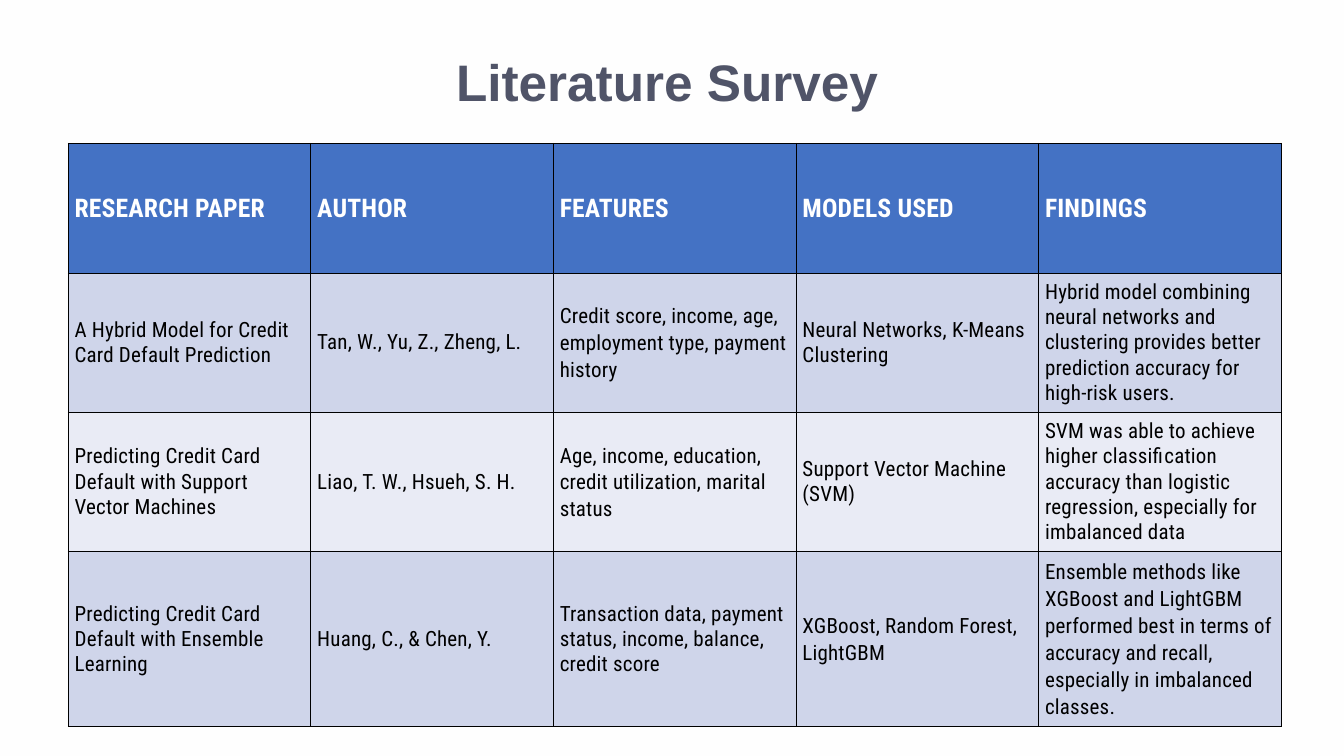
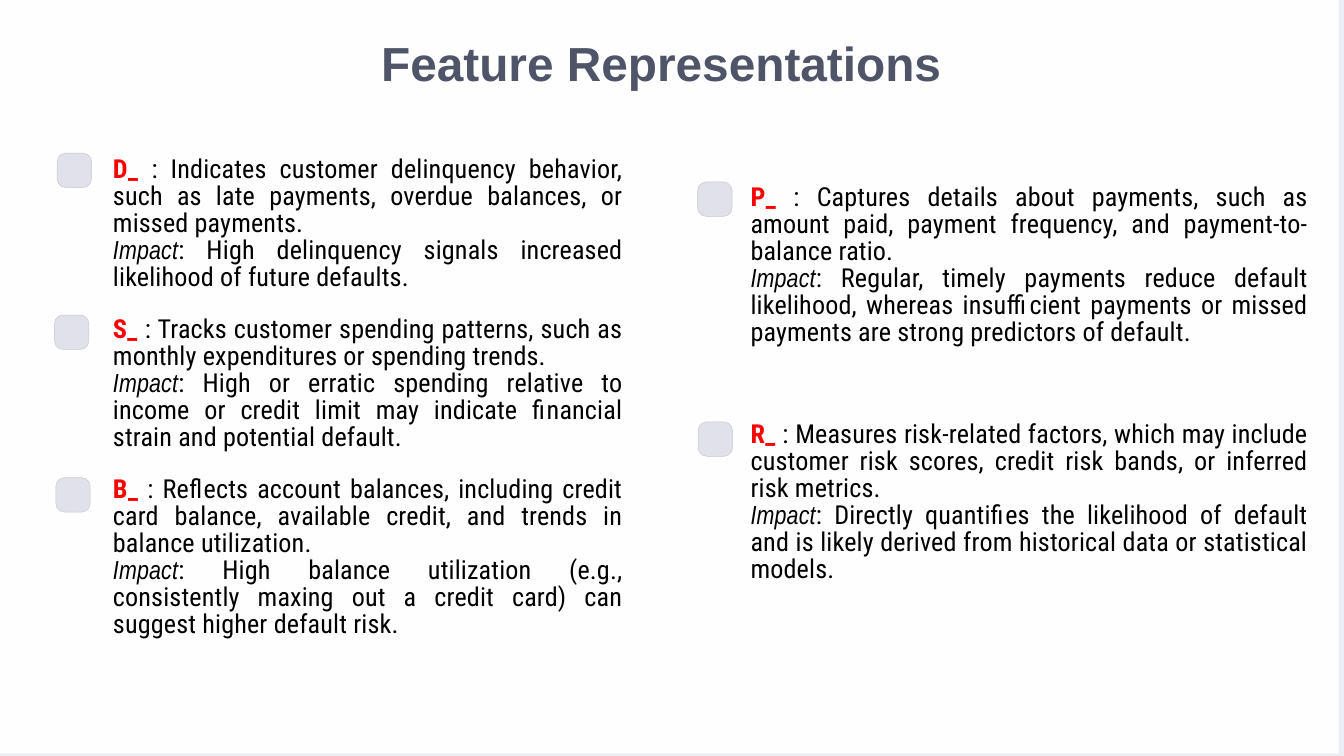
"""Builds two slides: a literature survey table and the feature representations."""
import pptx
import pptx.dml.color
import pptx.enum.shapes
import pptx.enum.text
import pptx.oxml
import pptx.oxml.ns
import pptx.util
from pptx.util import Cm, Pt

WIDTH, HEIGHT = 50.8, 28.58
BODY_FONT, TITLE_FONT, IMPACT_FONT = "Roboto Condensed", "Arial", "Arial Narrow"
INK, TITLE_INK, KEY_INK, WHITE = "000000", "505468", "FF0000", "FFFFFF"
BACKDROP, CHIP_FILL, CHIP_LINE = "ECECF3", "E1E1EA", "C7C7D0"
HEADER_FILL, BAND_FILLS = "4472C4", ("E9EBF5", "CFD5EA")
ALIGN = pptx.enum.text.PP_ALIGN
ANCHOR = pptx.enum.text.MSO_ANCHOR

SURVEY = [
    ("RESEARCH PAPER", "AUTHOR", "FEATURES", "MODELS USED", "FINDINGS"),
    ("A Hybrid Model for Credit Card Default Prediction",
     "Tan, W., Yu, Z., Zheng, L.",
     "Credit score, income, age, employment type, payment history",
     "Neural Networks, K-Means Clustering",
     "Hybrid model combining neural networks and clustering provides better "
     "prediction accuracy for high-risk users."),
    ("Predicting Credit Card Default with Support Vector Machines",
     "Liao, T. W., Hsueh, S. H.",
     "Age, income, education, credit utilization, marital status",
     "Support Vector Machine (SVM)",
     "SVM was able to achieve higher classification accuracy than logistic "
     "regression, especially for imbalanced data"),
    ("Predicting Credit Card Default with Ensemble Learning",
     "Huang, C., & Chen, Y.",
     "Transaction data, payment status, income, balance, credit score",
     "XGBoost, Random Forest, LightGBM",
     "Ensemble methods like XGBoost and LightGBM performed best in terms of "
     "accuracy and recall, especially in imbalanced classes."),
]
ROW_HEIGHTS = (4.9, 5.26, 5.26, 6.58)
COLUMN_WIDTH = 9.17
LOOSE_CELLS = {(1, 2), (2, 2), (3, 3), (3, 4)}

FEATURE_COLUMNS = [
    {"place": (4.27, 3.96, 19.28, 23.34), "inset": 1.97, "gap": 27,
     "chips": [(2.16, 5.79), (2.06, 11.91), (2.11, 18.06)],
     "features": [
         ("D_ ", ": Indicates customer delinquency behavior, such as late payments, "
                 "overdue balances, or missed payments.",
          ": High delinquency signals increased likelihood of future defaults. "),
         ("S_ ", ": Tracks customer spending patterns, such as monthly expenditures "
                 "or spending trends.",
          ": High or erratic spending relative to income or credit limit may "
          "indicate financial strain and potential default."),
         ("B_ ", ": Reflects account balances, including credit card balance, "
                 "available credit, and trends in balance utilization.",
          ": High balance utilization (e.g., consistently maxing out a credit "
          "card) can suggest higher default risk."),
     ]},
    {"place": (28.37, 1.19, 21.08, 22.1), "inset": 5.78, "gap": 81,
     "chips": [(26.37, 6.88), (26.39, 15.95)],
     "features": [
         ("P_ ", ": Captures details about payments, such as amount paid, payment "
                 "frequency, and payment-to-balance ratio.",
          ": Regular, timely payments reduce default likelihood, whereas "
          "insufficient payments or missed payments are strong predictors of default."),
         ("R_ ", ": Measures risk-related factors, which may include customer risk "
                 "scores, credit risk bands, or inferred risk metrics.",
          ": Directly quantifies the likelihood of default and is likely derived "
          "from historical data or statistical models."),
     ]},
]


def rgb(value):
    """Turn a hex string into a colour."""
    return pptx.dml.color.RGBColor.from_string(value)


def write(para, text, size=28, font=BODY_FONT, color=INK, bold=False, italic=False,
          spacing=20):
    """Add a formatted run to a paragraph."""
    span = para.add_run()
    span.text = text
    span.font.size, span.font.name = Pt(size), font
    span.font.bold, span.font.italic = bold, italic
    span.font.color.rgb = rgb(color)
    if spacing:
        span.font._element.set("spc", str(spacing))


def set_para(para, leading, align, before=0):
    """Set line pitch, alignment and space before of a paragraph."""
    para.line_spacing, para.alignment = Pt(leading), align
    para.space_before, para.space_after = Pt(before), Pt(0)


def place(box, left, top, width, height, inset=0):
    """Move a placeholder and clear its margins, with an optional top inset."""
    box.left, box.top, box.width, box.height = map(Cm, (left, top, width, height))
    frame = box.text_frame
    frame.margin_left = frame.margin_right = frame.margin_bottom = 0
    frame.margin_top = Cm(inset)
    frame.word_wrap, frame.vertical_anchor = True, ANCHOR.TOP
    frame.auto_size = pptx.enum.text.MSO_AUTO_SIZE.NONE
    return frame


def add_panel(page, kind, left, top, width, height, fill, line=None):
    """Add a flat shape with a plain fill and an optional outline."""
    panel = page.shapes.add_shape(kind, *map(Cm, (left, top, width, height)))
    panel.shadow.inherit = False
    panel.fill.solid()
    panel.fill.fore_color.rgb = rgb(fill)
    if line:
        panel.line.color.rgb, panel.line.width = rgb(line), Pt(0.5)
    else:
        panel.line.fill.background()
    return panel


def add_page(deck, layout, title, where, size, leading, shift=(0, 0)):
    """Add a slide with the shared backdrop, veil and title style."""
    page = deck.slides.add_slide(deck.slide_layouts[layout])
    kind = pptx.enum.shapes.MSO_SHAPE.RECTANGLE
    backdrop = add_panel(page, kind, 0, 0, WIDTH, HEIGHT, BACKDROP)
    veil = add_panel(page, kind, *shift, WIDTH, HEIGHT, WHITE)
    tint = next(veil.element.iter(pptx.oxml.ns.qn("a:srgbClr")))
    tint.append(pptx.oxml.parse_xml(
        f'<a:alpha {pptx.oxml.ns.nsdecls("a")} val="95000"/>'))
    for panel in (veil, backdrop):
        backdrop.element.getparent().insert(2, panel.element)
    para = place(page.shapes.title, *where).paragraphs[0]
    set_para(para, leading, ALIGN.CENTER)
    write(para, title, size=size, font=TITLE_FONT, color=TITLE_INK, bold=True, spacing=0)
    return page


def add_borders(cell):
    """Draw thin black lines on all sides of a cell."""
    for index, side in enumerate("LRTB"):
        cell._tc.get_or_add_tcPr().insert(index, pptx.oxml.parse_xml(
            f'<a:ln{side} {pptx.oxml.ns.nsdecls("a")} w="{int(Pt(0.37))}">'
            f'<a:solidFill><a:srgbClr val="{INK}"/></a:solidFill></a:ln{side}>'))


def add_survey(page):
    """Add the table of research papers."""
    count = len(SURVEY[0])
    table = page.shapes.add_table(
        len(SURVEY), count, Cm(2.57), Cm(5.41),
        Cm(COLUMN_WIDTH * count), Cm(sum(ROW_HEIGHTS))).table
    for column in table.columns:
        column.width = Cm(COLUMN_WIDTH)
    for r, texts in enumerate(SURVEY):
        table.rows[r].height = Cm(ROW_HEIGHTS[r])
        header = r == 0
        for c, text in enumerate(texts):
            cell = table.cell(r, c)
            cell.margin_left = cell.margin_right = Cm(0.25)
            cell.margin_top = cell.margin_bottom = Cm(0.25)
            cell.vertical_anchor = ANCHOR.MIDDLE
            cell.fill.solid()
            cell.fill.fore_color.rgb = rgb(HEADER_FILL if header else BAND_FILLS[r % 2])
            add_borders(cell)
            para = cell.text_frame.paragraphs[0]
            leading = 33 if header else 28.9 if (r, c) in LOOSE_CELLS else 27
            set_para(para, leading, ALIGN.LEFT)
            write(para, text, size=27.5 if header else 22.5,
                  color=WHITE if header else INK, bold=header)


def add_line(frame, first, before=0):
    """Return a justified paragraph without bullet."""
    para = frame.paragraphs[0] if first else frame.add_paragraph()
    props = para._p.get_or_add_pPr()
    props.set("marL", "0")
    props.set("indent", "0")
    props.append(pptx.oxml.parse_xml(f'<a:buNone {pptx.oxml.ns.nsdecls("a")}/>'))
    set_para(para, 28.9, ALIGN.JUSTIFY, before)
    return para


def add_features(page, body, column):
    """Fill one column with features and their chips."""
    frame = place(body, *column["place"], inset=column["inset"])
    for index, (key, meaning, impact) in enumerate(column["features"]):
        para = add_line(frame, index == 0, column["gap"] if index else 0)
        write(para, key, color=KEY_INK, bold=True)
        write(para, meaning)
        para = add_line(frame, False)
        write(para, "Impact", font=IMPACT_FONT, italic=True)
        write(para, impact)
    for left, top in column["chips"]:
        chip = add_panel(page, pptx.enum.shapes.MSO_SHAPE.ROUNDED_RECTANGLE,
                         left, top, 1.3, 1.3, CHIP_FILL, CHIP_LINE)
        chip.adjustments[0] = 0.25


def main():
    """Build and save the deck."""
    deck = pptx.Presentation()
    deck.slide_width, deck.slide_height = Cm(WIDTH), Cm(HEIGHT)
    page = add_page(deck, 5, "Literature Survey", (2.57, 1.96, 45.29, 4.62), 55, 64.4)
    add_survey(page)
    page = add_page(deck, 3, "Feature Representations ", (3.45, 1.27, 43.61, 4.52),
                    51.2, 61.5, shift=(-0.2, -0.1))
    for index, column in enumerate(FEATURE_COLUMNS, start=1):
        add_features(page, page.placeholders[index], column)
    deck.save("out.pptx")


if __name__ == "__main__":
    main()
